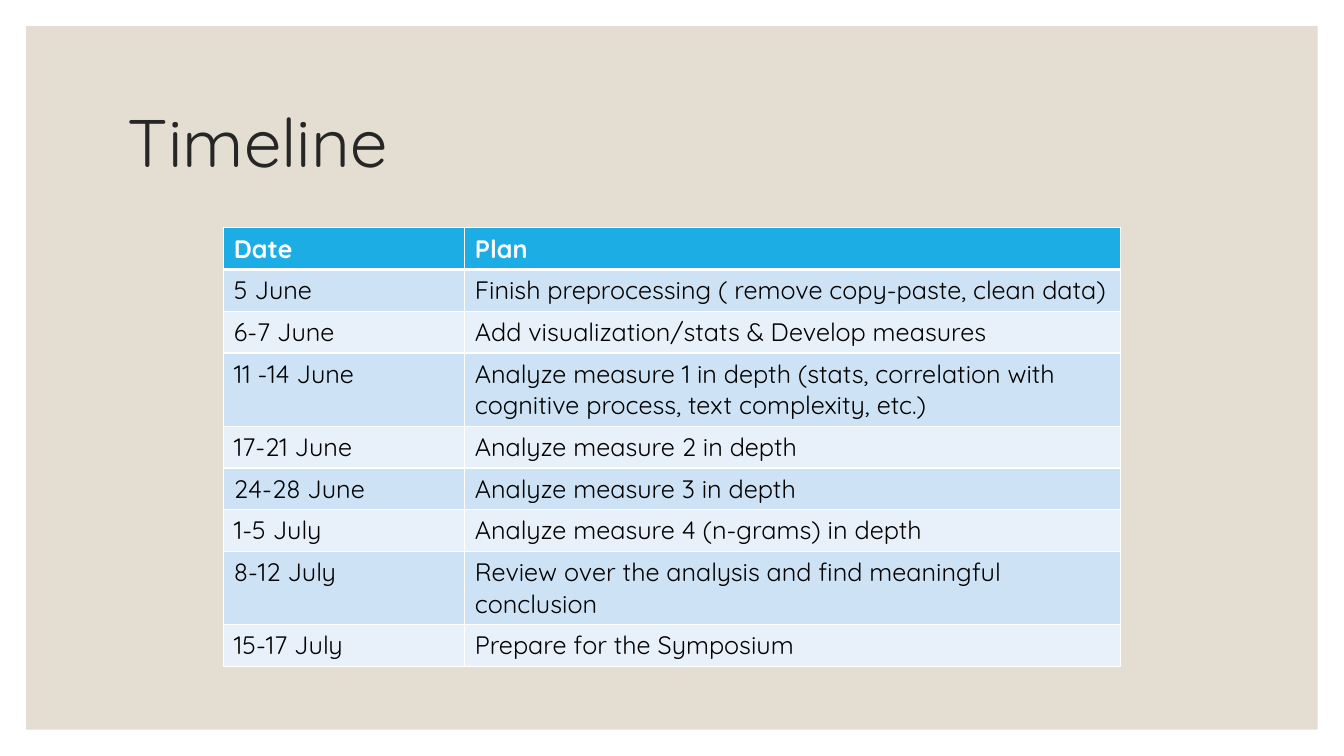
"""Build the project timeline slide."""
from lxml import etree
from pptx import Presentation
from pptx import util as u
from pptx.dml import color
from pptx.enum import shapes, text
from pptx.oxml import ns

TITLE = "Timeline"
HEADER = ("Date", "Plan")
PLAN = [
    ("5 June", "Finish preprocessing ( remove copy-paste, clean data)"),
    ("6-7 June", "Add visualization/stats & Develop measures"),
    ("11 -14 June", "Analyze measure 1 in depth (stats, correlation with "
                    "cognitive process, text complexity, etc.)"),
    ("17-21 June", "Analyze measure 2 in depth"),
    ("24-28 June", "Analyze measure 3 in depth"),
    ("1-5 July", "Analyze measure 4 (n-grams) in depth"),
    ("8-12 July", "Review over the analysis and find meaningful conclusion"),
    ("15-17 July", "Prepare for the Symposium"),
]
FONT = "Quicksand"
WHITE, BLACK, TITLE_COLOR = "FFFFFF", "000000", "262626"
PANEL, HEADER_FILL, BANDS = "E3DED1", "1CADE4", ("CDE3F5", "E8F1FA")
SLIDE_WIDTH, SLIDE_HEIGHT, MARGIN = 13.33, 7.5, 0.26
COLUMN_WIDTHS, ROW_HEIGHT = (2.39, 6.5), 0.41
THIN, THICK = 1, 3


def paint(fill, value):
    fill.solid()
    fill.fore_color.rgb = color.RGBColor.from_string(value)


def write(paragraph, words, size, value, bold=False):
    run = paragraph.add_run()
    run.text = words
    run.font.name, run.font.size, run.font.bold = FONT, u.Pt(size), bold
    paint(run.font.fill, value)


def add_border(cell, side, width):
    properties = cell._tc.get_or_add_tcPr()
    line = etree.SubElement(properties, ns.qn(f"a:ln{side}"), w=str(u.Pt(width)))
    solid = etree.SubElement(line, ns.qn("a:solidFill"))
    etree.SubElement(solid, ns.qn("a:srgbClr"), val=WHITE)


def add_panel(slide):
    panel = slide.shapes.add_shape(
        shapes.MSO_SHAPE.RECTANGLE, u.Inches(MARGIN), u.Inches(MARGIN),
        u.Inches(SLIDE_WIDTH - 2 * MARGIN), u.Inches(SLIDE_HEIGHT - 2 * MARGIN))
    panel.shadow.inherit = False
    paint(panel.fill, PANEL)
    panel.line.fill.background()


def add_title(slide):
    box = slide.shapes.add_textbox(u.Inches(1.17), u.Inches(0.7), u.Inches(11), u.Inches(1.5))
    frame = box.text_frame
    frame.word_wrap = True
    frame.vertical_anchor = text.MSO_ANCHOR.MIDDLE
    frame.paragraphs[0].line_spacing = 0.9
    write(frame.paragraphs[0], TITLE, 48, TITLE_COLOR)


def add_plan(slide):
    rows = [HEADER, *PLAN]
    table = slide.shapes.add_table(
        len(rows), len(HEADER), u.Inches(2.22), u.Inches(2.26),
        u.Inches(sum(COLUMN_WIDTHS)), u.Inches(ROW_HEIGHT * len(rows))).table
    for column, width in zip(table.columns, COLUMN_WIDTHS):
        column.width = u.Inches(width)
    for row_index, row in enumerate(rows):
        table.rows[row_index].height = u.Inches(ROW_HEIGHT)
        is_header = row_index == 0
        top = THICK if row_index == 1 else THIN
        bottom = THICK if is_header else THIN
        for column_index, words in enumerate(row):
            cell = table.cell(row_index, column_index)
            for side, width in zip("LRTB", (THIN, THIN, top, bottom)):
                add_border(cell, side, width)
            paint(cell.fill, HEADER_FILL if is_header else BANDS[(row_index - 1) % 2])
            write(cell.text_frame.paragraphs[0], words, 18,
                  WHITE if is_header else BLACK, is_header)


def main():
    presentation = Presentation()
    presentation.slide_width = u.Inches(SLIDE_WIDTH)
    presentation.slide_height = u.Inches(SLIDE_HEIGHT)
    slide = presentation.slides.add_slide(presentation.slide_layouts[6])
    paint(slide.background.fill, WHITE)
    add_panel(slide)
    add_plan(slide)
    add_title(slide)
    presentation.save("out.pptx")


if __name__ == "__main__":
    main()
